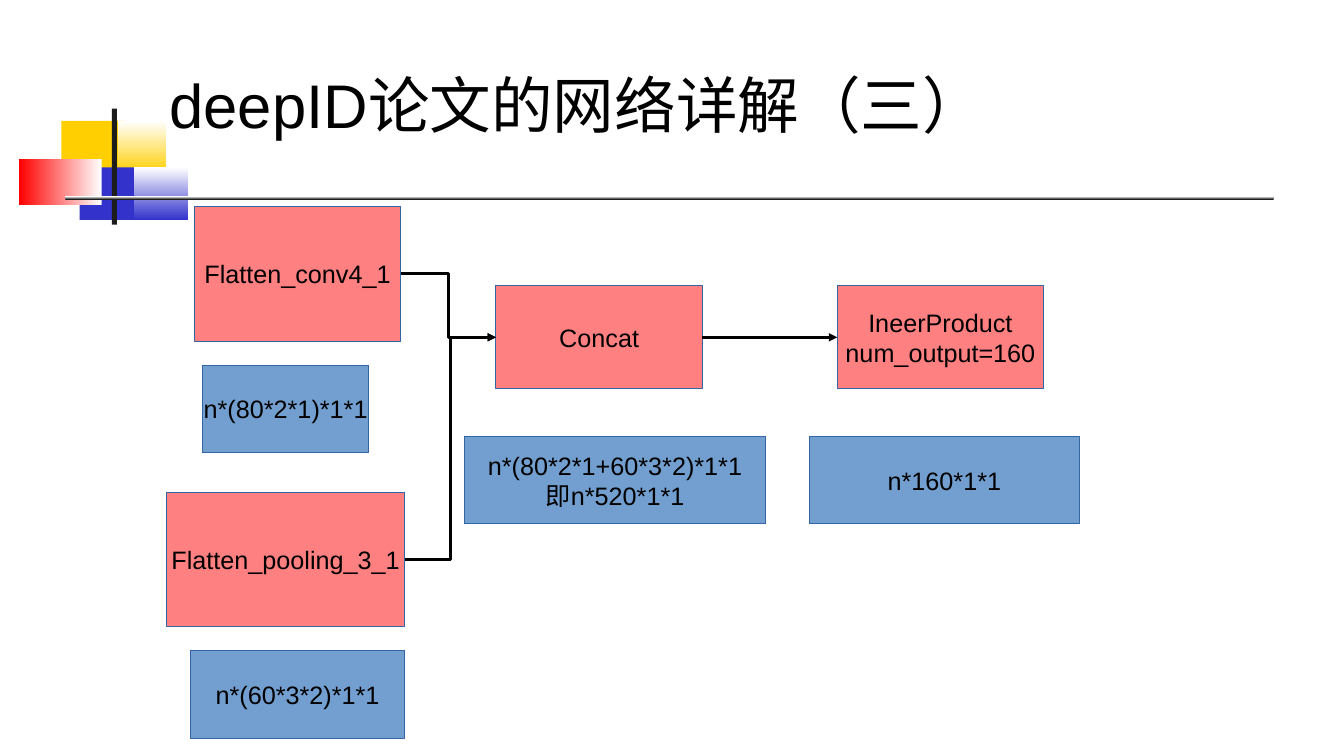
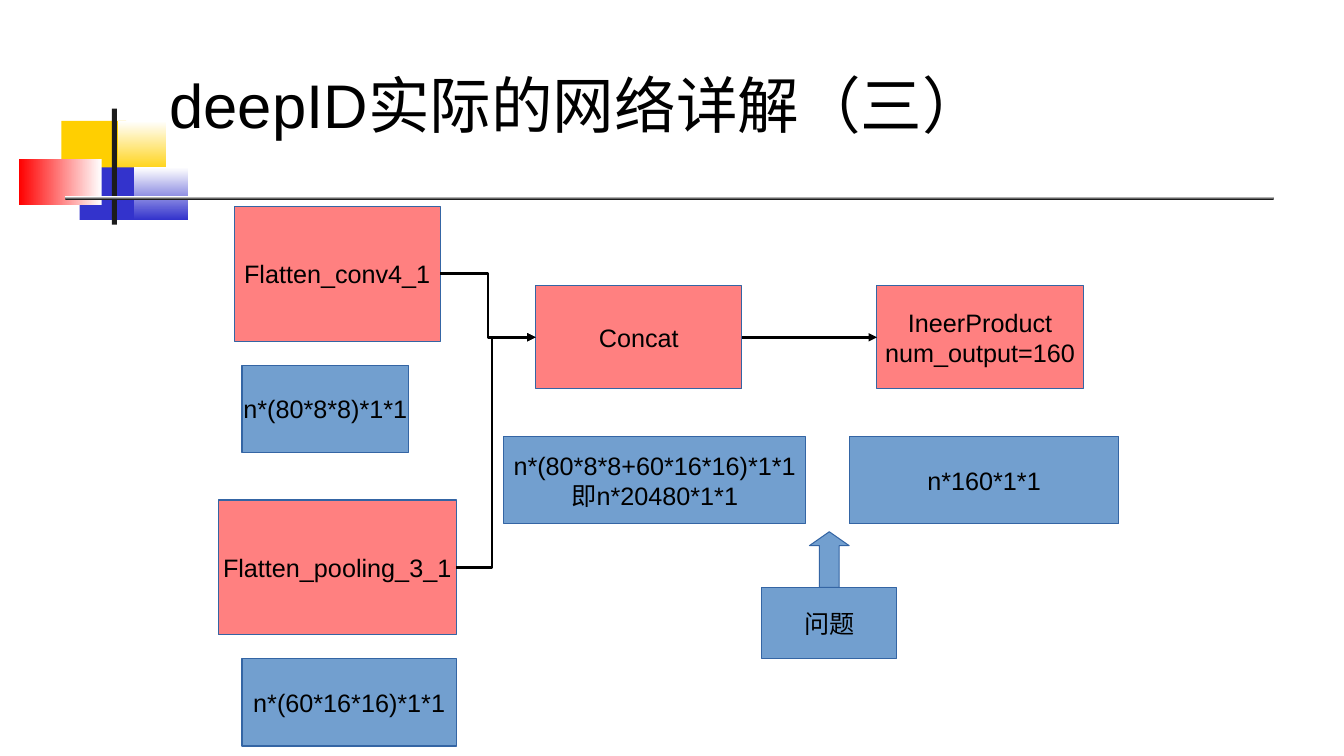
from lxml import etree
from pptx import Presentation
from pptx import util as u
from pptx.dml.color import RGBColor
from pptx.enum import shapes, text
from pptx.oxml import ns

BLACK = RGBColor(0x00, 0x00, 0x00)
WHITE = RGBColor(0xFF, 0xFF, 0xFF)
INK = RGBColor(0x1C, 0x1C, 0x1C)
YELLOW = RGBColor(0xFF, 0xCF, 0x01)
INDIGO = RGBColor(0x33, 0x33, 0xCC)
RED = RGBColor(0xFF, 0x00, 0x00)
LAYER_PINK = RGBColor(0xFF, 0x80, 0x80)
SIZE_BLUE = RGBColor(0x72, 0x9F, 0xCF)
OUTLINE = RGBColor(0x34, 0x65, 0xA4)

FONT = "Arial"
TITLE_BOX = (4.27, 0.58, 28.85, 4.06)

# Ornament of the layout: box in cm, colours, gradient angle
BANDS = [
    ((1.55, 3.05, 1.63, 1.32), [YELLOW], None),
    ((2.97, 3.05, 1.22, 1.32), [YELLOW, WHITE], 90),
    ((2.01, 4.22, 1.57, 1.32), [INDIGO], None),
    ((3.38, 4.22, 1.37, 1.32), [INDIGO, WHITE], 90),
    ((0.48, 4.01, 2.08, 1.17), [WHITE, RED], 180),
    ((2.82, 2.74, 0.13, 2.92), [INK], None),
    ((1.65, 4.95, 30.45, 0.08), [INK, WHITE], 90),
]

# Sizes of the flow boxes in cm
CONV_SIZE, POOL_SIZE, STEP_SIZE = (5.2, 3.4), (6.0, 3.4), (5.2, 2.6)
NOTE_HEIGHT = 2.2
NOTE_DROP = 4.0      # from the top of an input layer to its size note
STEP_TOP, STEP_NOTE_TOP = 2.0, 5.8


def add_block(slide, kind, box, fill):
    """Plain preset shape without shadow or outline."""
    block = slide.shapes.add_shape(kind, *map(u.Cm, box))
    block.shadow.inherit = False
    block.line.fill.background()
    block.fill.solid()
    block.fill.fore_color.rgb = fill
    return block


def write(frame, lines, size, align):
    """Put one paragraph per line into a text frame."""
    frame.vertical_anchor = text.MSO_ANCHOR.MIDDLE
    for number, line in enumerate(lines):
        paragraph = frame.add_paragraph() if number else frame.paragraphs[0]
        paragraph.alignment = align
        run = paragraph.add_run()
        run.text = line
        run.font.name = FONT
        run.font.size = u.Pt(size)
        run.font.color.rgb = BLACK


def add_flow_shape(slide, box, fill, lines=(), kind=shapes.MSO_SHAPE.RECTANGLE):
    """Outlined box of the flow chart with centred text."""
    block = add_block(slide, kind, box, fill)
    block.line.color.rgb = OUTLINE
    block.line.width = u.Pt(0)
    block.text_frame.word_wrap = False
    write(block.text_frame, lines, 18, text.PP_ALIGN.CENTER)
    return block


def join(slide, source, target, kind=shapes.MSO_CONNECTOR.ELBOW, bend=None):
    """Arrow from the right side of one box to the left side of another."""
    arrow = slide.shapes.add_connector(kind, 0, 0, 0, 0)
    arrow.begin_connect(source, 3)
    arrow.end_connect(target, 1)
    arrow.line.color.rgb = BLACK
    arrow.line.width = u.Pt(0)
    properties = arrow.element.spPr
    etree.SubElement(properties.find(ns.qn("a:ln")), ns.qn("a:tailEnd"), type="triangle")
    etree.SubElement(properties, ns.qn("a:effectLst"))
    if bend is not None:
        guides = properties.find(ns.qn("a:prstGeom")).get_or_add_avLst()
        etree.SubElement(guides, ns.qn("a:gd"), name="adj1",
                         fmla=f"val {round(bend * 100000)}")


def dress_layout(layout, slide):
    """Draw the ornament and move it to the layout, behind its placeholders."""
    tree = layout.shapes.element
    for depth, (box, colours, angle) in enumerate(BANDS):
        band = add_block(slide, shapes.MSO_SHAPE.RECTANGLE, box, colours[0])
        if angle is not None:
            band.fill.gradient()
            band.fill.gradient_angle = angle
            for stop, colour in zip(band.fill.gradient_stops, colours):
                stop.color.rgb = colour
        tree.insert(2 + depth, band.element)


def set_title(slide, wording):
    title = slide.shapes.title
    title.left, title.top, title.width, title.height = map(u.Cm, TITLE_BOX)
    frame = title.text_frame
    frame.margin_left = frame.margin_right = frame.margin_top = frame.margin_bottom = 0
    frame.auto_size = text.MSO_AUTO_SIZE.NONE
    frame.word_wrap = True
    write(frame, [wording], 44, text.PP_ALIGN.LEFT)


def add_flow(slide, left, top, pool_at, conv_note, pool_note, concat_note, bend=None):
    """Two flattened inputs, concatenated and fed to the inner product."""
    def layer(x, y, size, *lines):
        return add_flow_shape(slide, (left + x, top + y, *size), LAYER_PINK, lines)

    def note(x, y, width, *lines):
        add_flow_shape(slide, (left + x, top + y, width, NOTE_HEIGHT), SIZE_BLUE, lines)

    # Inputs
    pool_x, pool_y = pool_at
    conv = layer(0, 0, CONV_SIZE, "Flatten_conv4_1")
    note(0.2, NOTE_DROP, 4.2, conv_note)
    pool = layer(pool_x, pool_y, POOL_SIZE, "Flatten_pooling_3_1")
    note(pool_x + 0.6, pool_y + NOTE_DROP, 5.4, pool_note)

    # Steps
    concat = layer(7.6, STEP_TOP, STEP_SIZE, "Concat")
    note(6.8, STEP_NOTE_TOP, 7.6, *concat_note)
    product = layer(16.2, STEP_TOP, STEP_SIZE, "IneerProduct", "num_output=160")
    note(15.5, STEP_NOTE_TOP, 6.8, "n*160*1*1")

    # Arrows
    join(slide, conv, concat)
    join(slide, pool, concat, bend=bend)
    join(slide, concat, product, shapes.MSO_CONNECTOR.STRAIGHT)


def add_problem(slide, left, top, width):
    """Label with a block arrow standing on the middle of its top."""
    arrow_width, arrow_height = 1.0, 1.4
    add_flow_shape(slide, (left, top, width, 1.8), SIZE_BLUE, ["问题"])
    pointer = add_flow_shape(
        slide, (left + (width - arrow_width) / 2, top - arrow_height, arrow_width, arrow_height),
        SIZE_BLUE, kind=shapes.MSO_SHAPE.UP_ARROW)
    pointer.adjustments[1] = 0.35


def main():
    deck = Presentation()
    deck.slide_width, deck.slide_height = u.Cm(33.87), u.Cm(19.05)
    layout = deck.slide_layouts[5]

    # Network of the paper
    paper = deck.slides.add_slide(layout)
    dress_layout(layout, paper)
    set_title(paper, "deepID论文的网络详解（三）")
    add_flow(paper, 4.9, 5.2, (-0.7, 7.2), "n*(80*2*1)*1*1", "n*(60*3*2)*1*1",
             ["n*(80*2*1+60*3*2)*1*1", "即n*520*1*1"])

    # Network in practice
    practice = deck.slides.add_slide(layout)
    set_title(practice, "deepID实际的网络详解（三）")
    add_flow(practice, 5.9, 5.2, (-0.4, 7.4), "n*(80*8*8)*1*1", "n*(60*16*16)*1*1",
             ["n*(80*8*8+60*16*16)*1*1", "即n*20480*1*1"], bend=0.45)
    add_problem(practice, 19.2, 14.8, 3.4)

    deck.save("out.pptx")


if __name__ == "__main__":
    main()
